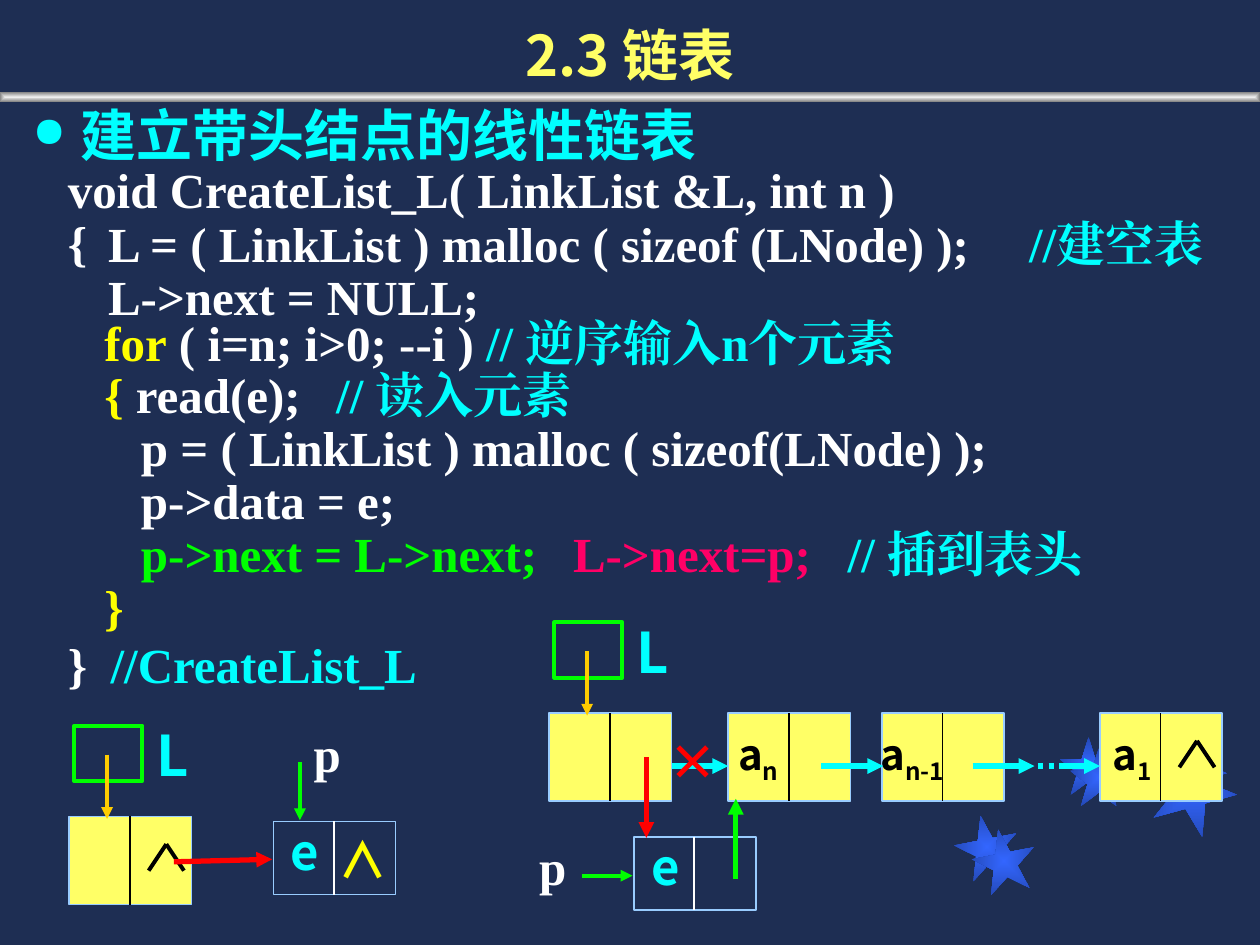
"""Build a slide on creating a linked list with a head node."""
from lxml import etree
from pptx import Presentation
from pptx.dml.color import RGBColor
from pptx.enum.dml import MSO_LINE
from pptx.enum.shapes import MSO_CONNECTOR, MSO_SHAPE
from pptx.enum.text import MSO_ANCHOR, PP_ALIGN
from pptx.oxml.ns import qn
from pptx.util import Inches, Pt

COLORS = {
    "navy": "1E2E53", "yellow": "FFFF66", "cyan": "00FFFF", "white": "FFFFFF",
    "black": "000000", "green": "00FF00", "red": "FF0000", "gold": "FFCC00",
    "sky": "99CCFF", "bright": "FFFF00", "pink": "FF0066", "blue": "3366FF",
    "deep": "2449B6", "light": "EDEDED", "gray": "808080",
}
SANS, SERIF = "Noto Sans CJK SC", "Times New Roman"
NODE_W, HALF = 0.97, 0.48


def rgb(name):
    return RGBColor.from_string(COLORS[name])


def add_run(p, text, size=28, color="white", font=SERIF, sub=False):
    r = p.add_run()
    r.text = text
    r.font.size, r.font.bold, r.font.name = Pt(size), True, font
    r.font.color.rgb = rgb(color)
    etree.SubElement(r.font._element, qn("a:ea"), typeface=font)
    if sub:
        r.font._element.set("baseline", "-25000")


class Board:
    """Hold the style and the current slide."""

    def __init__(self, prs):
        self.slide = prs.slides.add_slide(prs.slide_layouts[5])
        self.shapes = self.slide.shapes
        fill = self.slide.background.fill
        fill.solid()
        fill.fore_color.rgb = rgb("navy")

    def title(self, text, x, y, w, h):
        sp = self.shapes.title
        sp.left, sp.top, sp.width, sp.height = map(Inches, (x, y, w, h))
        tf = sp.text_frame
        tf.vertical_anchor = MSO_ANCHOR.BOTTOM
        tf.paragraphs[0].alignment = PP_ALIGN.CENTER
        add_run(tf.paragraphs[0], text, 32, "yellow", SANS)

    def frame(self, x, y, w, h, inset=True):
        tf = self.shapes.add_textbox(*map(Inches, (x, y, w, h))).text_frame
        tf.word_wrap = True
        if not inset:
            tf.margin_left = tf.margin_right = tf.margin_top = tf.margin_bottom = 0
        return tf

    def label(self, text, x, y, w, h, inset=True, sub="", center=False, **fmt):
        p = self.frame(x, y, w, h, inset).paragraphs[0]
        if center:
            p.alignment = PP_ALIGN.CENTER
        add_run(p, text, **fmt)
        if sub:
            add_run(p, sub, sub=True, **fmt)

    def bullet(self, text, x, y, w, h):
        p = self.frame(x, y, w, h).paragraphs[0]
        ppr = p._p.get_or_add_pPr()
        ppr.set("marL", str(Inches(0.38)))
        ppr.set("indent", str(Inches(-0.38)))
        etree.SubElement(ppr, qn("a:buSzPct"), val="75000")
        etree.SubElement(ppr, qn("a:buChar"), char="●")
        add_run(p, text, 32, "cyan", SANS)

    def code(self, x, y, w, h, lines):
        tf = self.frame(x, y, w, h)
        for i, (runs, tabs, before) in enumerate(lines):
            p = tf.add_paragraph() if i else tf.paragraphs[0]
            p.line_spacing = 0.9
            if before:
                p.space_before = Pt(before)
            if tabs:
                tab_list = etree.SubElement(p._p.get_or_add_pPr(), qn("a:tabLst"))
                for pos in tabs:
                    etree.SubElement(tab_list, qn("a:tab"), pos=str(Inches(pos)), algn="l")
            for text, color in runs:
                add_run(p, text, color=color)

    def shape(self, kind, x, y, w, h, fill=None, line=None, width=1, glow=None, turn=0):
        sp = self.shapes.add_shape(kind, *map(Inches, (x, y, w, h)))
        sp.shadow.inherit = False
        sp.rotation = turn
        if glow:
            self.radiate(sp.fill, glow)
        elif fill:
            sp.fill.solid()
            sp.fill.fore_color.rgb = rgb(fill)
        else:
            sp.fill.background()
        if line:
            sp.line.color.rgb = rgb(line)
            sp.line.width = Pt(width)
        else:
            sp.line.fill.background()
        return sp

    def radiate(self, fill, colors):
        fill.gradient()
        for stop, color in zip(fill.gradient_stops, colors):
            stop.color.rgb = rgb(color)
        grad = fill._xPr.find(qn("a:gradFill"))
        grad.remove(grad.find(qn("a:lin")))
        shade = etree.SubElement(grad, qn("a:path"))
        shade.set("path", "shape")
        etree.SubElement(shade, qn("a:fillToRect"), l="50000", t="50000", r="50000", b="50000")

    def line(self, x1, y1, x2, y2, color, width, arrow=False, dotted=False):
        cn = self.shapes.add_connector(MSO_CONNECTOR.STRAIGHT, *map(Inches, (x1, y1, x2, y2)))
        cn.line.color.rgb = rgb(color)
        cn.line.width = Pt(width)
        if dotted:
            cn.line.dash_style = MSO_LINE.ROUND_DOT
        if arrow:
            etree.SubElement(cn.line._get_or_add_ln(), qn("a:tailEnd"), type="triangle")
        etree.SubElement(cn._element.spPr, qn("a:effectLst"))

    def node(self, x, y, h=0.7, fill="yellow", split="black", null=False):
        self.shape(MSO_SHAPE.RECTANGLE, x, y, NODE_W, h, fill, "sky")
        self.line(x + HALF, y, x + HALF, y + h, split, 1)
        if null:
            for dx in (-0.14, 0.14):
                self.line(x + 0.77, y + 0.22, x + 0.77 + dx, y + 0.43, "black", 2.25)

    def head(self, x, y, null=False):
        self.shape(MSO_SHAPE.RECTANGLE, x + 0.04, y - 0.72, 0.54, 0.44, line="green", width=2.25)
        self.node(x, y, null=null)
        self.line(x + 0.3, y - 0.49, x + 0.3, y + 0.02, "gold", 2.25, arrow=True)
        self.label("L", x + 0.69, y - 0.76, 0.67, 0.53, False, size=32, color="cyan", font=SANS)

    def new_node(self, x, y, px, py):
        self.node(x, y, 0.58, None, "white")
        self.label("e", x - 0.01, y, 0.52, 0.47, False, center=True, color="cyan", font=SANS)
        self.label("p", px, py, 0.54, 0.61)


def main():
    prs = Presentation()
    prs.slide_width, prs.slide_height = Inches(10), Inches(7.5)
    b = Board(prs)

    for x, y, size, turn in (
        (7.58, 6.47, 0.5, 349), (8.41, 5.85, 0.46, 0), (9.06, 5.75, 0.67, 22),
        (7.72, 6.58, 0.5, 349), (8.49, 5.94, 0.46, 0), (9.14, 5.92, 0.67, 22),
    ):
        b.shape(MSO_SHAPE.STAR_5_POINT, x, y, size, size, glow=("blue", "deep"), turn=turn)
    b.shape(MSO_SHAPE.RECTANGLE, 0, 0.73, 10, 0.08, glow=("light", "gray"))
    b.title("2.3 链表", 0, 0, 10, 0.75)
    b.bullet("建立带头结点的线性链表", 0.16, 0.75, 9.45, 0.69)

    b.code(0.44, 1.27, 9.13, 4.34, [
        ([("void CreateList_L( LinkList &L, int n )", "white")], (), 0),
        ([("{", "white")], (), 0),
        ([("}\t", "white"), ("//CreateList_L", "cyan")], (0.34,), 211),
    ])
    b.code(0.76, 1.7, 9.13, 0.95, [
        ([("L = ( LinkList ) malloc ( sizeof (LNode) );\t", "white"),
          ("//建空表", "cyan")], (7.31,), 0),
        ([("L->next = NULL;", "white")], (), 0),
    ])
    b.code(0.73, 2.48, 9.13, 2.65, [
        ([("for", "bright"), (" ( i=n; i>0; --i ) ", "white"),
          ("// 逆序输入n个元素", "cyan")], (), 0),
        ([("{", "bright"), (" read(e);\t", "white"), ("// 读入元素", "cyan")], (1.84,), 0),
        ([("   p = ( LinkList ) malloc ( sizeof(LNode) );", "white")], (), 0),
        ([("   p->data = e;", "white")], (), 0),
        ([("   p->next = L->next;\t", "green"), ("L->next=p;\t", "pink"),
          ("// 插到表头", "cyan")], (3.72, 5.9), 0),
        ([("}", "bright")], (), 0),
    ])

    b.head(0.55, 6.48, null=True)
    b.new_node(2.17, 6.52, 2.39, 5.69)
    b.label("∧", 2.69, 6.58, 0.52, 0.47, False, color="bright", font=SANS)
    b.line(2.38, 6.05, 2.38, 6.51, "green", 2.25, arrow=True)
    b.line(1.38, 6.84, 2.16, 6.82, "red", 3, arrow=True)

    b.head(4.36, 5.66)
    for x, sub, text_x, text_w in ((5.78, "n", 5.76, 0.57), (7, "n-1", 6.89, 0.84),
                                   (8.73, "1", 8.73, 0.57)):
        b.node(x, 5.66, null=sub == "1")
        b.label("a", text_x, 5.73, text_w, 0.5, sub=sub, size=24, color="black", font=SANS)
    for x1, x2 in ((5.33, 5.78), (6.52, 7.01), (7.72, 8.21), (8.45, 8.73)):
        b.line(x1, 6.08, x2, 6.08, "cyan", 3, arrow=True)
    b.line(8.24, 6.08, 8.52, 6.08, "cyan", 3, dotted=True)

    b.new_node(5.03, 6.64, 4.18, 6.59)
    b.line(4.62, 6.95, 5.02, 6.95, "green", 2.25, arrow=True)
    b.line(5.84, 6.98, 5.84, 6.34, "green", 3, arrow=True)
    b.line(5.13, 6.01, 5.13, 6.65, "red", 3, arrow=True)
    b.label("×", 5.21, 5.76, 0.69, 0.57, color="red", font=SANS)

    prs.save("out.pptx")


if __name__ == "__main__":
    main()
